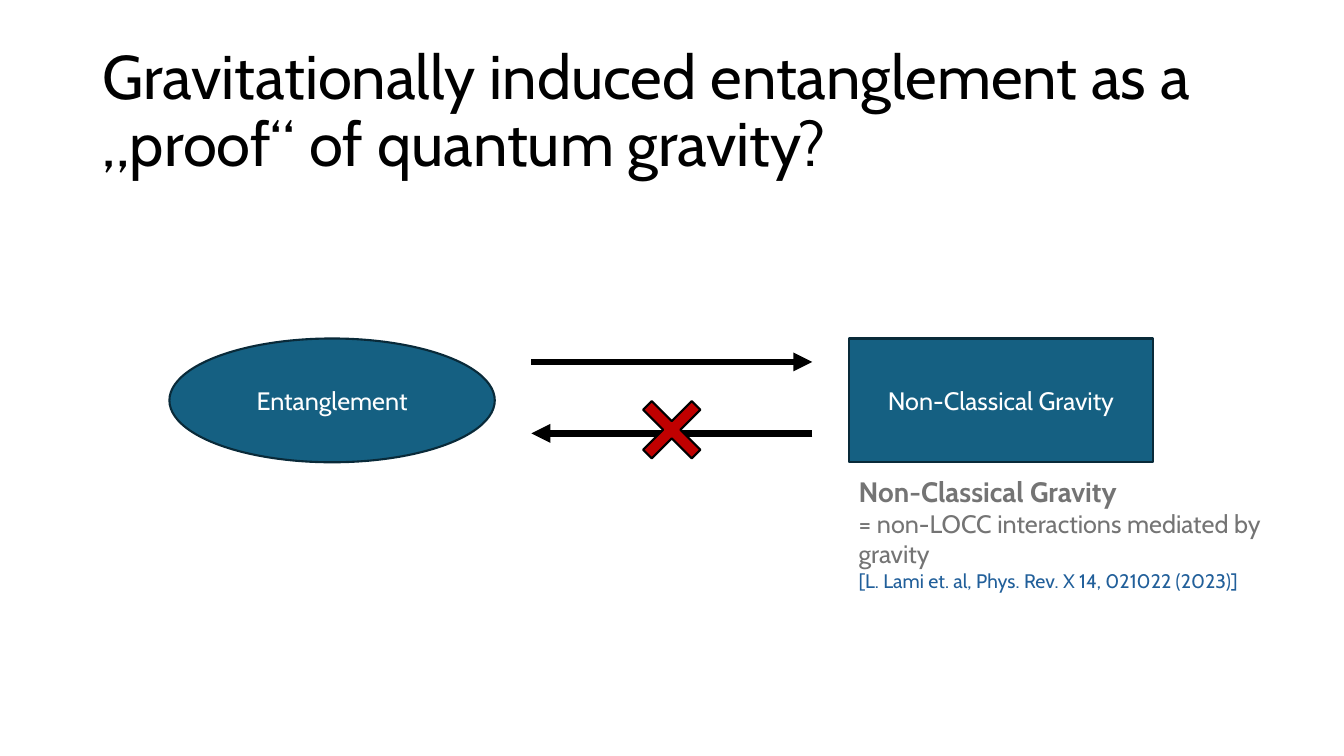
from lxml import etree
from pptx import Presentation
from pptx.dml.color import RGBColor
from pptx.enum.shapes import MSO_CONNECTOR, MSO_SHAPE
from pptx.enum.text import MSO_ANCHOR, PP_ALIGN
from pptx.oxml.ns import qn
from pptx.util import Cm, Pt

ELLIPSE, RECTANGLE, CROSS = MSO_SHAPE.OVAL, MSO_SHAPE.RECTANGLE, MSO_SHAPE.MATH_MULTIPLY
STRAIGHT = MSO_CONNECTOR.STRAIGHT
MIDDLE, CENTER = MSO_ANCHOR.MIDDLE, PP_ALIGN.CENTER
FONT = "Cabin"
COLORS = {
    "black": "000000", "white": "FFFFFF", "teal": "156082", "outline": "092A39",
    "grey": "747474", "citation": "215F9A", "red": "C00000",
}


def write(paragraph, text, size, color, bold=False):
    paragraph.text = text
    for run in paragraph.runs:
        run.font.name = FONT
        run.font.size = Pt(size)
        run.font.bold = bold
        run.font.color.rgb = RGBColor.from_string(COLORS[color])


def add_filled(kind, left, top, width, height, fill, line):
    shape = slide.shapes.add_shape(kind, Cm(left), Cm(top), Cm(width), Cm(height))
    shape.shadow.inherit = False
    shape.fill.solid()
    shape.fill.fore_color.rgb = RGBColor.from_string(COLORS[fill])
    shape.line.color.rgb = RGBColor.from_string(COLORS[line])
    shape.line.width = Pt(1.5)
    return shape


presentation = Presentation()
presentation.slide_width, presentation.slide_height = Cm(33.87), Cm(19.05)
slide = presentation.slides.add_slide(presentation.slide_layouts[6])

# Title
title = slide.shapes.add_textbox(Cm(2.33), Cm(1.01), Cm(29.21), Cm(3.68))
title.text_frame.word_wrap = True
title.text_frame.vertical_anchor = MIDDLE
paragraph = title.text_frame.paragraphs[0]
paragraph.line_spacing = 0.9
write(paragraph, "Gravitationally induced entanglement as a „proof“ of quantum gravity?", 44, "black")

# The two concepts
concepts = [
    (ELLIPSE, 4.27, 8.2, "Entanglement"),
    (RECTANGLE, 21.39, 7.67, "Non-Classical Gravity"),
]
for kind, left, width, label in concepts:
    concept = add_filled(kind, left, 8.53, width, 3.12, "teal", "outline")
    concept.text_frame.vertical_anchor = MIDDLE
    paragraph = concept.text_frame.paragraphs[0]
    paragraph.alignment = CENTER
    write(paragraph, label, 18, "white")

# Definition under the rectangle
definition = slide.shapes.add_textbox(Cm(21.39), Cm(11.84), Cm(11.25), Cm(3.25))
definition.text_frame.word_wrap = True
lines = [
    ("Non-Classical Gravity", 20, "grey", True),
    ("= non-LOCC interactions mediated by gravity", 18, "grey", False),
    ("[L. Lami et. al, Phys. Rev. X 14, 021022 (2023)]", 14, "citation", False),
]
definition.text_frame.text = "\n".join(line[0] for line in lines)
for paragraph, line in zip(definition.text_frame.paragraphs, lines):
    write(paragraph, *line)

# Implication arrows in both directions
for start, end, y in [(13.39, 20.47, 9.12), (20.47, 13.39, 10.92)]:
    arrow = slide.shapes.add_connector(STRAIGHT, Cm(start), Cm(y), Cm(end), Cm(y))
    arrow.line.color.rgb = RGBColor.from_string(COLORS["black"])
    arrow.line.width = Pt(4.5)
    etree.SubElement(arrow.line._get_or_add_ln(), qn("a:tailEnd"), type="triangle")
    etree.SubElement(arrow._element.spPr, qn("a:effectLst"))

# Cross over the reverse arrow
cross = add_filled(CROSS, 15.75, 9.65, 2.36, 2.36, "red", "black")
cross.adjustments[0] = 0.131

presentation.save("out.pptx")
